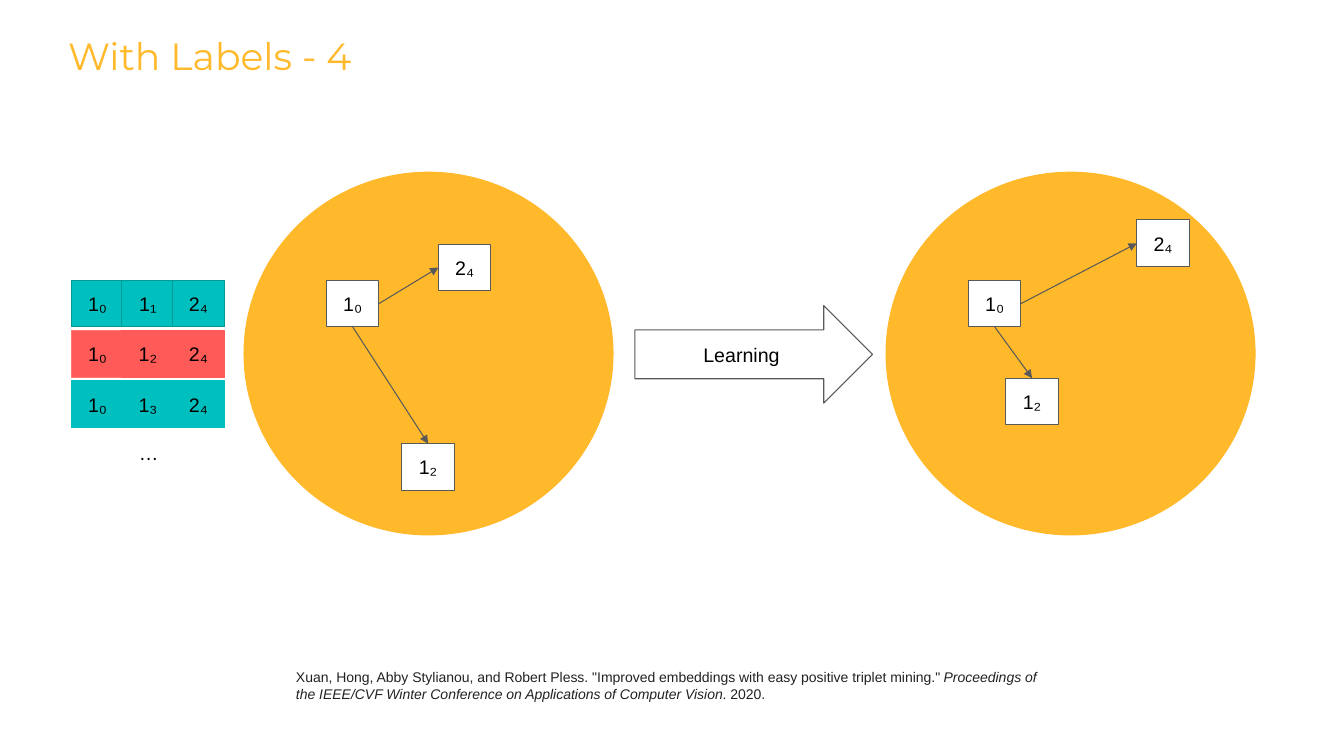
"""Build the slide showing triplets with labels before and after learning."""
from lxml import etree
from pptx import Presentation
from pptx.dml.color import RGBColor
from pptx.enum.shapes import MSO_CONNECTOR, MSO_SHAPE
from pptx.enum.text import MSO_ANCHOR, PP_ALIGN
from pptx.oxml.ns import qn
from pptx.util import Cm, Pt

RECTANGLE, OVAL, RIGHT_ARROW = MSO_SHAPE.RECTANGLE, MSO_SHAPE.OVAL, MSO_SHAPE.RIGHT_ARROW
STRAIGHT = MSO_CONNECTOR.STRAIGHT
LEFT, CENTER = PP_ALIGN.LEFT, PP_ALIGN.CENTER
TOP, MIDDLE = MSO_ANCHOR.TOP, MSO_ANCHOR.MIDDLE
SITE_TOP, SITE_LEFT, SITE_BOTTOM, SITE_RIGHT = range(4)

AMBER, TEAL, CORAL, GREY, WHITE = "FFB92B", "00BFBF", "FE5B58", "595959", "FFFFFF"

TITLE = "With Labels - 4"
TRIPLETS = [
    (("1₀", "1₁", "2₄"), TEAL, ("009999", "009999", "009999")),
    (("1₀", "1₂", "2₄"), CORAL, ("FF7673", CORAL, CORAL)),
    (("1₀", "1₃", "2₄"), TEAL, (TEAL, TEAL, TEAL)),
]
SPACES = [
    {"left": 6.15, "anchor": (8.23, 7.06), "positive": (10.13, 11.18), "negative": (11.05, 6.15)},
    {"left": 22.33, "anchor": (24.41, 7.06), "positive": (25.35, 9.53), "negative": (28.65, 5.54)},
]
CITATION = [
    ('Xuan, Hong, Abby Stylianou, and Robert Pless. "Improved embeddings with easy '
     'positive triplet mining." ', False),
    ("Proceedings of the IEEE/CVF Winter Conference on Applications of Computer Vision", True),
    (". 2020.", False),
]

CELL = (1.32, 1.18)
PITCH = 1.27
GRID_LEFT, GRID_TOP = 1.8, 7.06
SPACE_TOP, SPACE_SIZE = 4.34, (9.3, 9.14)

deck = Presentation()
deck.slide_width, deck.slide_height = Cm(33.87), Cm(19.05)
page = deck.slides.add_slide(deck.slide_layouts[6])


def color(value):
    return RGBColor.from_string(value)


def write(box, spans, size=14, font="Arial", ink="000000", align=CENTER, anchor=MIDDLE, inset=0.25):
    """Fill a box with one paragraph of (text, italic) spans."""
    frame = box.text_frame
    frame.word_wrap = True
    frame.vertical_anchor = anchor
    frame.margin_left = frame.margin_right = frame.margin_top = frame.margin_bottom = Cm(inset)
    para = frame.paragraphs[0]
    para.alignment = align
    for text, italic in spans:
        span = para.add_run()
        span.text = text
        span.font.size, span.font.name, span.font.italic = Pt(size), font, italic
        span.font.color.rgb = color(ink)


def add_text(spans, left, top, width, height, **style):
    box = page.shapes.add_textbox(Cm(left), Cm(top), Cm(width), Cm(height))
    write(box, spans, **style)


def add_block(kind, left, top, size, text="", fill=WHITE, outline=GREY):
    """Add a filled preset shape with an optional centred label."""
    block = page.shapes.add_shape(kind, Cm(left), Cm(top), Cm(size[0]), Cm(size[1]))
    block.shadow.inherit = False
    block.fill.solid()
    block.fill.fore_color.rgb = color(fill)
    block.line.color.rgb = color(outline)
    block.line.width = Pt(0.75)
    if text:
        write(block, [(text, False)])
    return block


def add_link(start, start_site, end, end_site):
    """Connect two blocks with an arrow."""
    link = page.shapes.add_connector(STRAIGHT, 0, 0, 0, 0)
    link.begin_connect(start, start_site)
    link.end_connect(end, end_site)
    link.line.color.rgb = color(GREY)
    link.line.width = Pt(0.75)
    etree.SubElement(link.line._get_or_add_ln(), qn("a:tailEnd"), type="triangle")
    etree.SubElement(link._element.spPr, qn("a:effectLst"))


def add_space(space):
    """Add an embedding circle with its triplet and the arrows between them."""
    add_block(OVAL, space["left"], SPACE_TOP, SPACE_SIZE, fill=AMBER, outline=AMBER)
    anchor = add_block(RECTANGLE, *space["anchor"], CELL, "1₀")
    positive = add_block(RECTANGLE, *space["positive"], CELL, "1₂")
    negative = add_block(RECTANGLE, *space["negative"], CELL, "2₄")
    add_link(anchor, SITE_RIGHT, negative, SITE_LEFT)
    add_link(anchor, SITE_BOTTOM, positive, SITE_TOP)


add_text([(TITLE, False)], 1.27, 0.97, 8.03, 0.86, size=27, font="Montserrat", ink=AMBER, inset=0.08)

for row, (labels, fill, outlines) in enumerate(TRIPLETS):
    for column, (label, outline) in enumerate(zip(labels, outlines)):
        add_block(RECTANGLE, GRID_LEFT + column * PITCH, GRID_TOP + row * PITCH, CELL,
                  label, fill, outline)
add_text([("…", False)], 0.97, GRID_TOP + len(TRIPLETS) * PITCH, 5.56, 1.12, anchor=TOP)

for space in SPACES:
    add_space(space)
add_block(RIGHT_ARROW, 16, 7.7, (5.99, 2.46), "Learning")

add_text(CITATION, 7.21, 16.59, 19.43, 1.37, size=10, ink="222222", align=LEFT, anchor=TOP)

deck.save("out.pptx")
